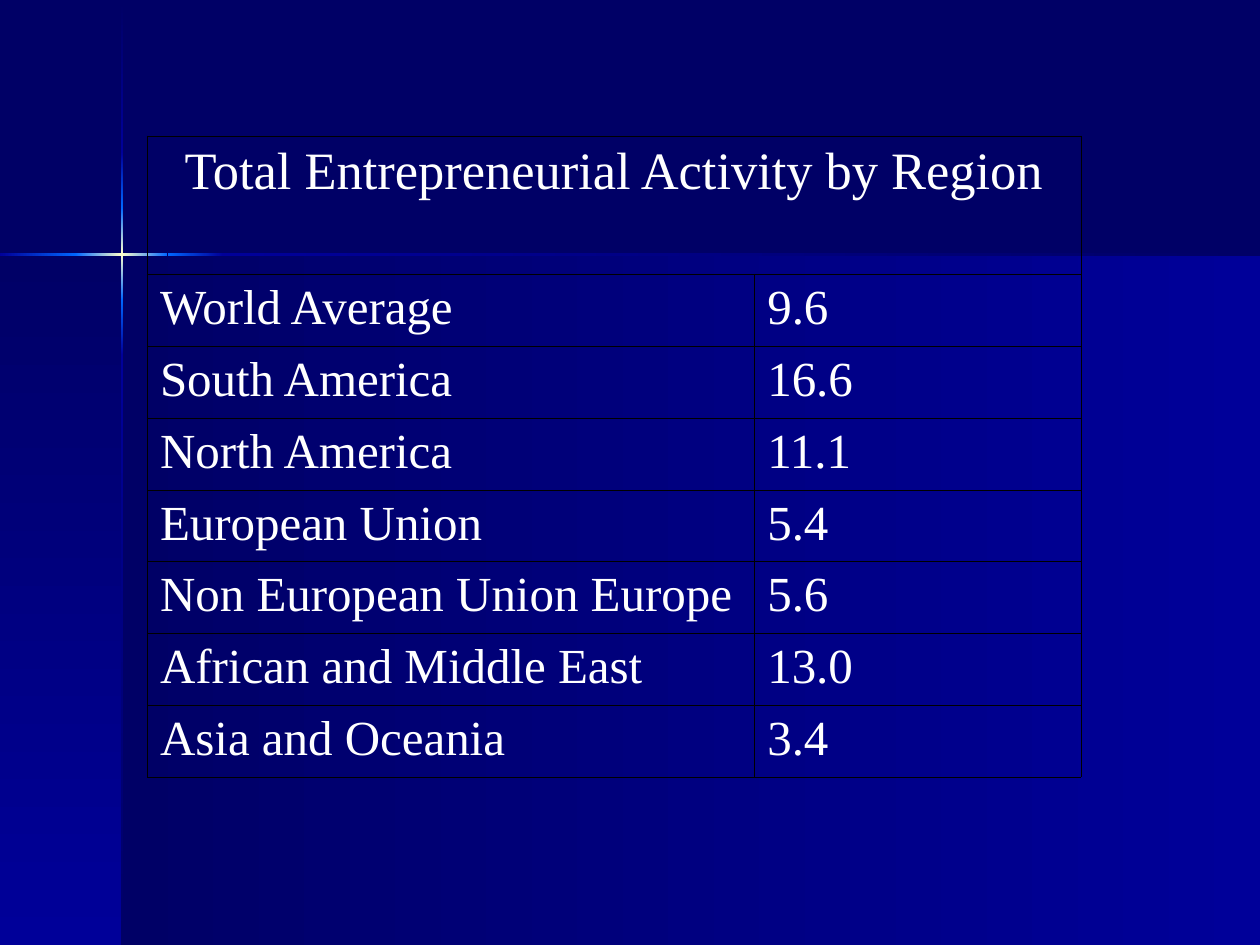
from copy import deepcopy
from lxml import etree
from pptx import Presentation
from pptx.dml.color import RGBColor
from pptx.enum.shapes import MSO_SHAPE
from pptx.enum.text import PP_ALIGN
from pptx.oxml.ns import qn
from pptx.util import Inches, Pt

RECTANGLE = MSO_SHAPE.RECTANGLE
CENTER, LEFT = PP_ALIGN.CENTER, PP_ALIGN.LEFT
ACROSS, DOWN = 0, 270
NAVY, BLUE, BRIGHT, CREAM = "000066", "000099", "0066FF", "FFFFCC"


def color(value):
    return RGBColor.from_string(value)


def add_panel(shapes, left, top, width, height, angle, colors):
    panel = shapes.add_shape(RECTANGLE, Inches(left), Inches(top), Inches(width), Inches(height))
    panel.shadow.inherit = False
    panel.line.fill.background()
    panel.fill.gradient()
    panel.fill.gradient_angle = angle
    stop_list = panel._element.spPr.find(qn("a:gradFill")).find(qn("a:gsLst"))
    for extra in range(len(colors) - 2):
        stop_list.append(deepcopy(stop_list[-1]))
    for index, (stop, value) in enumerate(zip(panel.fill.gradient_stops, colors)):
        stop.position = index / (len(colors) - 1)
        stop.color.rgb = color(value)


deck = Presentation()
deck.slide_width, deck.slide_height = Inches(10), Inches(7.5)
page = deck.slides.add_slide(deck.slide_layouts[6])
page.background.fill.solid()
page.background.fill.fore_color.rgb = color(NAVY)

cross_x, cross_y, beam = 0.97, 2.02, 0.02
backdrop = page.shapes.add_group_shape().shapes
add_panel(backdrop, cross_x, cross_y, 10 - cross_x, 7.5 - cross_y, ACROSS, [NAVY, BLUE])
add_panel(backdrop, 0, cross_y, cross_x, 7.5 - cross_y, DOWN, [NAVY, BLUE])

vertical_beams = [
    (0.01, 1.21, [NAVY, BLUE]),
    (2.82, 7.5, [BLUE, NAVY]),
    (2.38, 2.82, [BRIGHT, BLUE]),
    (1.21, 1.65, [BLUE, BRIGHT]),
    (1.65, 2.38, [BRIGHT, CREAM, BRIGHT]),
]
for start, end, colors in vertical_beams:
    add_panel(backdrop, cross_x - beam / 2, start, beam, end - start, DOWN, colors)

horizontal_beams = [
    (1.77, 10, [BLUE, NAVY]),
    (0, 0.61, [BLUE, BRIGHT]),
    (1.33, 1.77, [BRIGHT, BLUE]),
    (0.6, 1.33, [BRIGHT, CREAM, BRIGHT]),
]
for start, end, colors in horizontal_beams:
    add_panel(backdrop, start, cross_y - beam / 2, end - start, beam, ACROSS, colors)

rows = [
    ("Total Entrepreneurial Activity by Region", ""),
    ("World Average", "9.6"),
    ("South America", "16.6"),
    ("North America", "11.1"),
    ("European Union", "5.4"),
    ("Non European Union Europe", "5.6"),
    ("African and Middle East", "13.0"),
    ("Asia and Oceania", "3.4"),
]
table = page.shapes.add_table(
    len(rows), 2, Inches(1.17), Inches(1.08), Inches(7.41), Inches(5.09)
).table
table.first_row = table.horz_banding = False
for column, width in zip(table.columns, (4.82, 2.59)):
    column.width = Inches(width)
for row_index, values in enumerate(rows):
    heading = row_index == 0
    table.rows[row_index].height = Inches(1.1 if heading else 0.57)
    for column_index, value in enumerate(values):
        cell = table.cell(row_index, column_index)
        properties = cell._tc.get_or_add_tcPr()
        for side in ("a:lnL", "a:lnR", "a:lnT", "a:lnB"):
            border = etree.SubElement(properties, qn(side), w=str(Pt(0.45)))
            solid = etree.SubElement(border, qn("a:solidFill"))
            etree.SubElement(solid, qn("a:srgbClr"), val="000000")
        cell.fill.background()
        if not value:
            continue
        cell.text_frame.text = value
        para = cell.text_frame.paragraphs[0]
        para.alignment = CENTER if heading else LEFT
        font = para.runs[0].font
        font.name = "Times New Roman"
        font.size = Pt(30 if heading else 28)
        font.color.rgb = color("FFFFFF")
table.cell(0, 0).merge(table.cell(0, 1))

deck.save("out.pptx")
